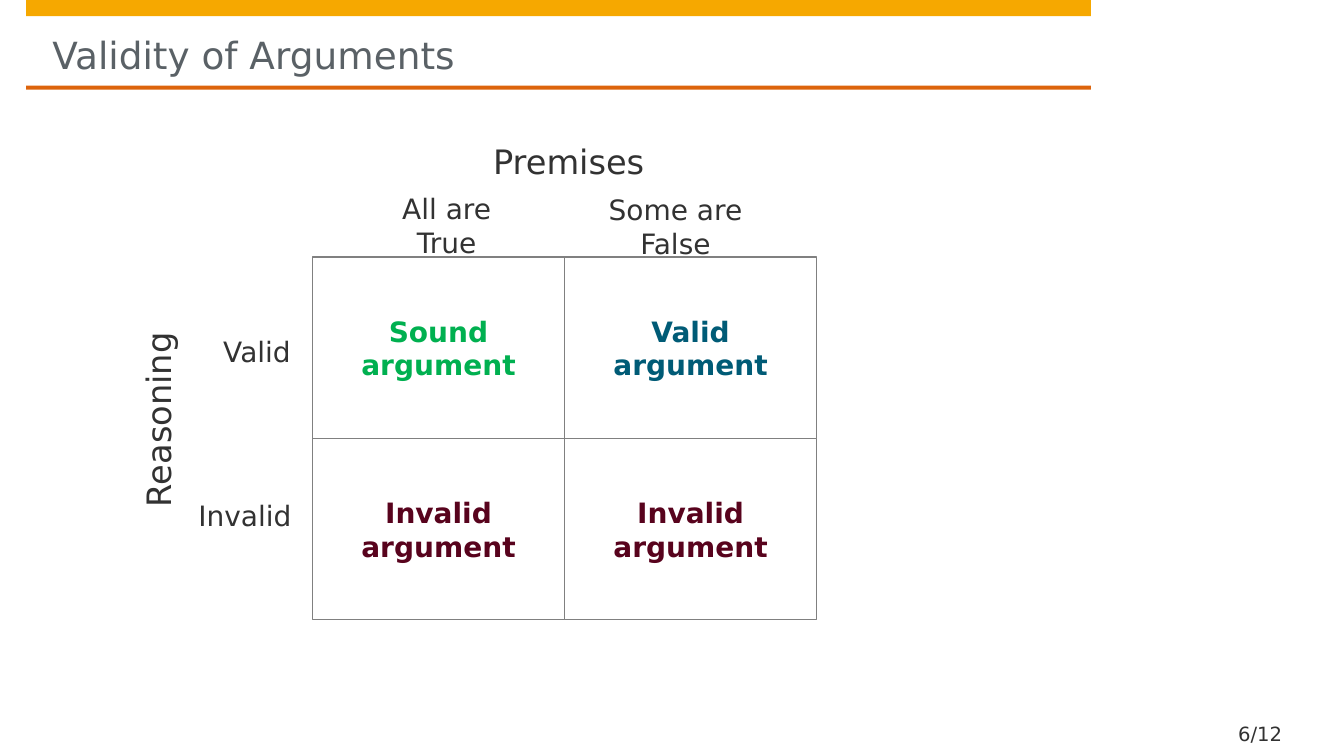
"""Build the slide on the validity of arguments."""
from dataclasses import dataclass

import pptx
import pptx.dml.color
import pptx.enum.shapes
import pptx.enum.text
import pptx.util

RGBColor = pptx.dml.color.RGBColor
Inches = pptx.util.Inches
Pt = pptx.util.Pt
PP_ALIGN = pptx.enum.text.PP_ALIGN
MSO_ANCHOR = pptx.enum.text.MSO_ANCHOR

FONT = "DejaVu Sans"
WHITE = RGBColor(0xFF, 0xFF, 0xFF)
AMBER = RGBColor(0xF6, 0xA8, 0x00)
ORANGE = RGBColor(0xDD, 0x64, 0x0C)
SLATE = RGBColor(0x5A, 0x61, 0x66)
INK = RGBColor(0x32, 0x32, 0x32)
GRAY = RGBColor(0x80, 0x80, 0x80)
GREEN = RGBColor(0x00, 0xB0, 0x50)
TEAL = RGBColor(0x00, 0x5B, 0x76)
MAROON = RGBColor(0x58, 0x03, 0x1D)

GRID_LEFT, GRID_TOP = 3.1, 2.55
CELL_W, CELL_H = 2.5, 1.8


@dataclass
class Box:
    left: float
    top: float
    width: float
    height: float


@dataclass
class Style:
    size: float = 20
    color: RGBColor = INK
    bold: bool = False
    align: PP_ALIGN = PP_ALIGN.CENTER
    anchor: MSO_ANCHOR = MSO_ANCHOR.TOP
    insets: tuple[float, float, float, float] = (0, 0, 0, 0)
    spacing: float = 3


@dataclass
class Label:
    text: str
    box: Box
    style: Style
    rotation: float = 0


@dataclass
class Cell:
    text: str
    color: RGBColor


HEADING = Style(size=24)
CAPTION = Style()

LABELS = [
    Label("6/12", Box(12.16, 7.12, 0.91, 0.28),
          Style(14, align=PP_ALIGN.LEFT, anchor=MSO_ANCHOR.BOTTOM,
                insets=(0.12, 0, 0, 0), spacing=0)),
    Label("Validity of Arguments", Box(0.52, 0.16, 10.03, 0.61),
          Style(26.7, SLATE, align=PP_ALIGN.LEFT,
                insets=(0, 0.16, 0, 0), spacing=0)),
    Label("Premises", Box(4.17, 1.4, 2.94, 0.51), HEADING),
    Label("Reasoning", Box(0.33, 3.91, 2.58, 0.51), HEADING, 270),
    Label("All are True", Box(3.69, 1.9, 1.48, 0.65), CAPTION),
    Label("Some are False", Box(5.73, 1.91, 1.94, 0.51), CAPTION),
    Label("Valid", Box(2.05, 3.32, 1, 0.51), CAPTION),
    Label("Invalid", Box(1.93, 4.95, 1, 0.51), CAPTION),
]

MATRIX = [
    [Cell("Sound argument", GREEN), Cell("Valid argument", TEAL)],
    [Cell("Invalid argument", MAROON), Cell("Invalid argument", MAROON)],
]


def place(box: Box) -> tuple[int, int, int, int]:
    """Return the box as slide lengths."""
    return (Inches(box.left), Inches(box.top),
            Inches(box.width), Inches(box.height))


def write(sp: pptx.shapes.autoshape.Shape, text: str, style: Style) -> None:
    """Fill a shape with one styled paragraph."""
    tf = sp.text_frame
    tf.word_wrap = True
    tf.vertical_anchor = style.anchor
    tf.margin_left, tf.margin_top, tf.margin_right, tf.margin_bottom = map(
        Inches, style.insets)
    tf.text = text
    p = tf.paragraphs[0]
    p.alignment = style.align
    p.space_before = p.space_after = Pt(style.spacing)
    r = p.runs[0]
    r.font.name = FONT
    r.font.size = Pt(style.size)
    r.font.bold = style.bold
    r.font.color.rgb = style.color


def add_rect(s: pptx.slide.Slide, box: Box,
             fill: RGBColor) -> pptx.shapes.autoshape.Shape:
    """Add a flat rectangle without an outline."""
    sp = s.shapes.add_shape(pptx.enum.shapes.MSO_SHAPE.RECTANGLE, *place(box))
    sp.shadow.inherit = False
    sp.fill.solid()
    sp.fill.fore_color.rgb = fill
    sp.line.fill.background()
    return sp


def add_cell(s: pptx.slide.Slide, cell: Cell, row: int, col: int) -> None:
    """Add one outlined cell of the matrix."""
    box = Box(GRID_LEFT + col * CELL_W, GRID_TOP + row * CELL_H,
              CELL_W, CELL_H)
    sp = add_rect(s, box, WHITE)
    sp.line.color.rgb = GRAY
    sp.line.width = Pt(0.75)
    write(sp, cell.text, Style(color=cell.color, bold=True,
                               anchor=MSO_ANCHOR.MIDDLE,
                               insets=(0.12, 0.08, 0.12, 0.08)))


def add_label(s: pptx.slide.Slide, label: Label) -> None:
    """Add a text box."""
    sp = s.shapes.add_textbox(*place(label.box))
    sp.rotation = label.rotation
    write(sp, label.text, label.style)


def main() -> None:
    """Draw the slide and save it."""
    prs = pptx.Presentation()
    prs.slide_width, prs.slide_height = Inches(13.33), Inches(7.5)
    s = prs.slides.add_slide(prs.slide_layouts[6])
    add_rect(s, Box(0.26, 0, 10.56, 0.16), AMBER)
    add_rect(s, Box(0.26, 0.85, 10.56, 0.04), ORANGE)
    for row, cells in enumerate(MATRIX):
        for col, cell in enumerate(cells):
            add_cell(s, cell, row, col)
    for label in LABELS:
        add_label(s, label)
    prs.save("out.pptx")


if __name__ == "__main__":
    main()
